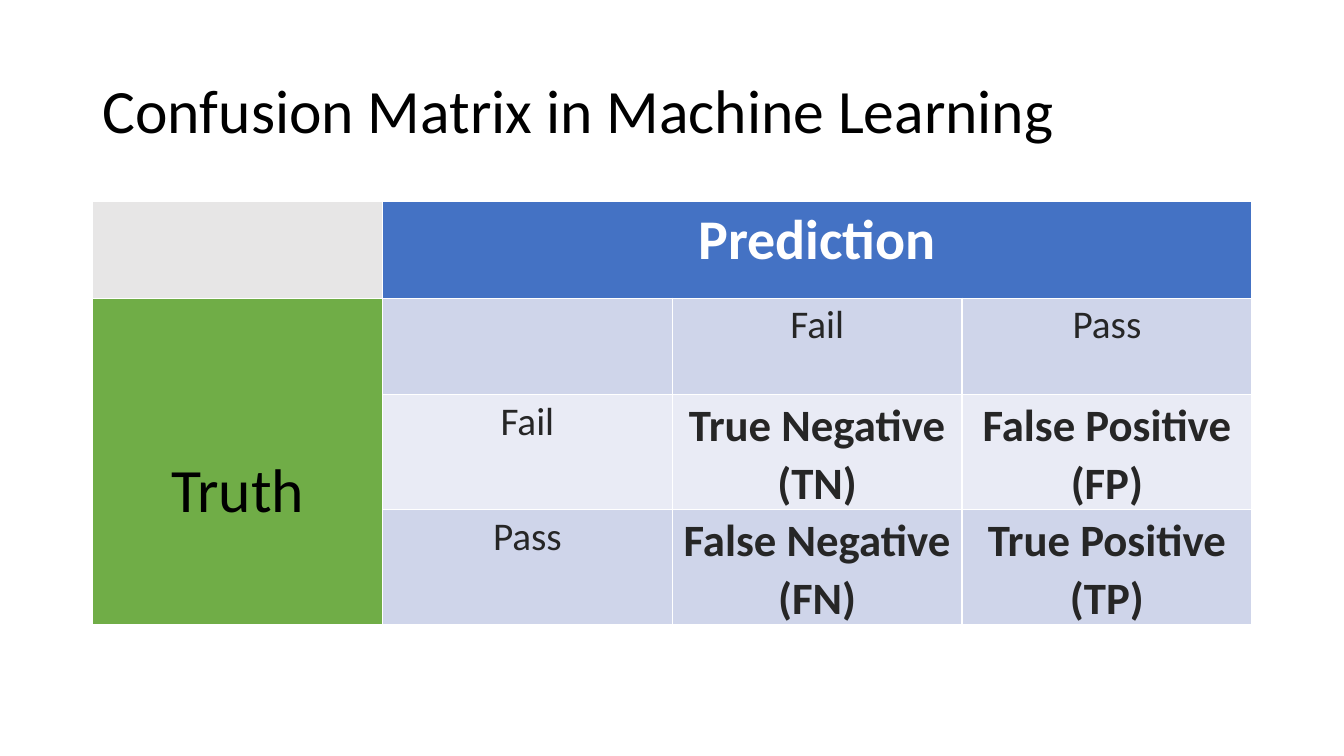
"""Build a slide with the confusion matrix of a pass or fail test."""
from pptx import Presentation
from pptx.dml.color import RGBColor
from pptx.enum.text import MSO_ANCHOR, PP_ALIGN
from pptx.util import Pt

TITLE = "Confusion Matrix in Machine Learning"
GRID = [
    ["", "Prediction", "", ""],
    ["Truth", "", "Fail", "Pass"],
    ["", "Fail", "True Negative (TN)", "False Positive (FP)"],
    ["", "Pass", "False Negative (FN)", "True Positive (TP)"],
]

BLACK = RGBColor(0x00, 0x00, 0x00)
WHITE = RGBColor(0xFF, 0xFF, 0xFF)
DARK = RGBColor(0x26, 0x26, 0x26)
GREY = RGBColor(0xE7, 0xE6, 0xE6)
BLUE = RGBColor(0x44, 0x72, 0xC4)
GREEN = RGBColor(0x70, 0xAD, 0x47)
BANDS = [RGBColor(0xE9, 0xEB, 0xF5), RGBColor(0xCF, 0xD5, 0xEA)]

LEFT, WIDTH = 66.24, 828
TOP, ROW = 144, 69


def style(para, size, color, bold=False, space=1.0):
    para.line_spacing = space
    font = para.font
    font.name = "Calibri"
    font.size = Pt(size)
    font.bold = bold
    font.color.rgb = color


def paint(cell, color):
    cell.fill.solid()
    cell.fill.fore_color.rgb = color


def add_title(slide):
    box = slide.shapes.add_textbox(Pt(LEFT), Pt(28.8), Pt(WIDTH), Pt(104.4))
    frame = box.text_frame
    frame.word_wrap = True
    frame.vertical_anchor = MSO_ANCHOR.MIDDLE
    frame.text = TITLE
    style(frame.paragraphs[0], 44, BLACK, space=0.9)


def fill_cell(cell, row, col):
    text = GRID[row][col]
    cell.text = text
    para = cell.text_frame.paragraphs[0]
    para.alignment = PP_ALIGN.CENTER
    if row == 0:
        paint(cell, BLUE if col else GREY)
        style(para, 40, WHITE, bold=True)
    elif col == 0:
        paint(cell, GREEN)
        style(para, 44, BLACK, space=3.0)
    else:
        paint(cell, BANDS[row % 2])
        if text:
            result = row > 1 and col > 1
            style(para, 32 if result else 28, DARK, result, 1.07)
            para.space_after = Pt(8)
            cell.margin_left = cell.margin_right = Pt(5.04)
            cell.margin_top = cell.margin_bottom = Pt(0)


def add_matrix(slide):
    count = len(GRID)
    frame = slide.shapes.add_table(
        count, count, Pt(LEFT), Pt(TOP), Pt(WIDTH), Pt(ROW * count)
    )
    table = frame.table
    table.cell(0, 1).merge(table.cell(0, 3))
    table.cell(1, 0).merge(table.cell(3, 0))
    for row in range(count):
        for col in range(count):
            cell = table.cell(row, col)
            if not cell.is_spanned:
                fill_cell(cell, row, col)


def main():
    deck = Presentation()
    deck.slide_width, deck.slide_height = Pt(960), Pt(540)
    slide = deck.slides.add_slide(deck.slide_layouts[6])
    add_title(slide)
    add_matrix(slide)
    deck.save("out.pptx")


if __name__ == "__main__":
    main()
